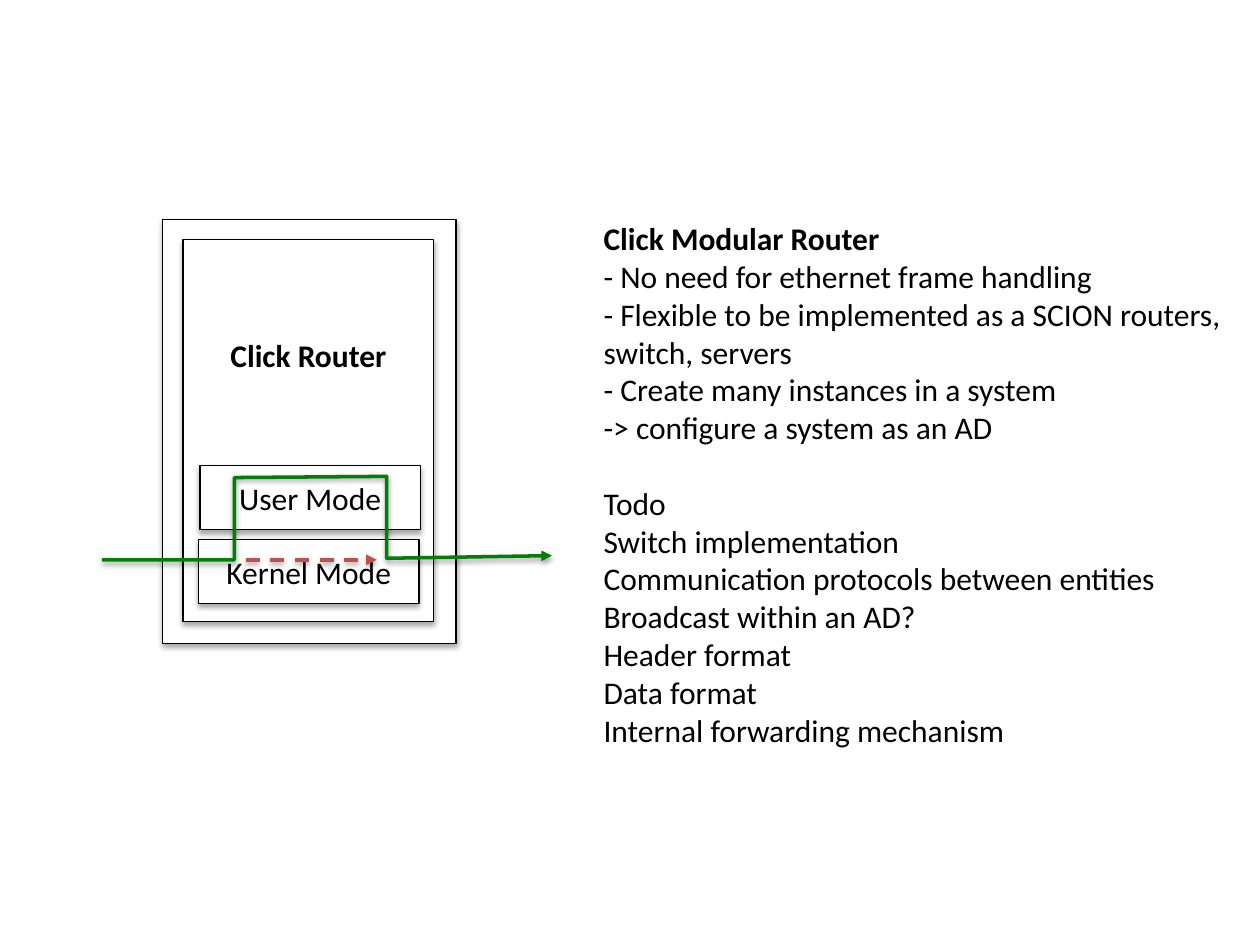
from dataclasses import dataclass

from lxml.etree import SubElement
from pptx import Presentation
from pptx.dml.color import RGBColor
from pptx.enum.dml import MSO_LINE
from pptx.enum.shapes import MSO_CONNECTOR, MSO_SHAPE
from pptx.enum.text import MSO_ANCHOR as Anchor, MSO_AUTO_SIZE as Fit, PP_ALIGN as Align
from pptx.oxml.ns import qn
from pptx.util import Pt

COLORS = {"ink": "000000", "paper": "FFFFFF", "user": "008000", "kernel": "C0504D"}
FONT = "Calibri"
SIZE = 18
ROW = 21.6  # height of one text line


@dataclass
class Box:
    left: float
    top: float
    width: float
    height: float
    text: str = ""
    bold: bool = False
    lift: float = 0  # extra inset below the label


BOXES = [
    Box(92.9, 125.3, 167.8, 242.6),
    Box(104.6, 136.8, 143.3, 218.2, "Click Router", True, 4 * ROW),
    Box(113.4, 308.2, 126, 36.7, "Kernel Mode"),
    Box(114.2, 266.1, 126, 36.7, "User Mode"),
]
ROUTE = [(58.3, 319.9), (133.9, 319.9), (133.9, 272.9), (221, 272.2), (221, 319), (315.4, 317.5)]

TITLE = "Click Modular Router"
NOTES = [
    "- No need for ethernet frame handling",
    "- Flexible to be implemented as a SCION routers,",
    "switch, servers",
    "- Create many instances in a system",
    "-> configure a system as an AD",
]
TASKS = [
    "Todo",
    "Switch implementation",
    "Communication protocols between entities",
    "Broadcast within an AD?",
    "Header format",
    "Data format",
    "Internal forwarding mechanism",
]


def color(name: str) -> RGBColor:
    return RGBColor.from_string(COLORS[name])


def style(para, align, bold: bool = False) -> None:
    para.alignment = align
    for run in para.runs:
        font = run.font
        font.name, font.size, font.bold = FONT, Pt(SIZE), bold
        font.color.rgb = color("ink")


def shade(shape, alpha: int, dist: float) -> None:
    """Add a soft shadow below the shape; call after its line is set."""
    effects = SubElement(shape._element.spPr, qn("a:effectLst"))
    shadow = SubElement(effects, qn("a:outerShdw"), blurRad=str(Pt(3.1)),
                        dist=str(Pt(dist)), dir="5400000", rotWithShape="0")
    tint = SubElement(shadow, qn("a:srgbClr"), val=COLORS["ink"])
    SubElement(tint, qn("a:alpha"), val=str(alpha * 1000))


def draw_box(shapes, box: Box) -> None:
    shape = shapes.add_shape(MSO_SHAPE.RECTANGLE, Pt(box.left), Pt(box.top),
                             Pt(box.width), Pt(box.height))
    shape.fill.solid()
    shape.fill.fore_color.rgb = color("paper")
    shape.line.color.rgb = color("ink")
    shape.line.width = Pt(0.75)
    shade(shape, 35, 1.8)
    if box.text:
        frame = shape.text_frame
        frame.vertical_anchor = Anchor.MIDDLE
        frame.margin_bottom = Pt(3.6 + box.lift)
        frame.text = box.text
        style(frame.paragraphs[0], Align.CENTER, box.bold)


def draw_arrow(shape, name: str, dash=None) -> None:
    shape.line.color.rgb = color(name)
    shape.line.width = Pt(2)
    if dash:
        shape.line.dash_style = dash
    SubElement(shape.line._get_or_add_ln(), qn("a:tailEnd"), type="triangle")
    shade(shape, 38, 1.6)


def draw_route(shapes) -> None:
    first, *rest = [(Pt(x), Pt(y)) for x, y in ROUTE]
    pen = shapes.build_freeform(*first)
    pen.add_line_segments(rest, close=False)
    shape = pen.convert_to_shape()
    shape.fill.background()
    draw_arrow(shape, "user")


def place(holder, top: float, lines: list[str], bold: bool = False) -> None:
    """Move a placeholder into the text column and fill it with plain lines."""
    holder.left, holder.top = Pt(337.7), Pt(top)
    holder.width, holder.height = Pt(372), Pt(ROW * len(lines))
    frame = holder.text_frame
    frame.word_wrap = True
    frame.auto_size = Fit.NONE
    frame.vertical_anchor = Anchor.TOP
    frame.margin_top = frame.margin_bottom = 0
    frame.text = "\n".join(lines)
    for para in frame.paragraphs:
        props = para._p.get_or_add_pPr()
        props.set("marL", "0")
        props.set("indent", "0")
        SubElement(props, qn("a:buNone"))
        para.space_before = Pt(0)
        style(para, Align.LEFT, bold)


def main() -> None:
    deck = Presentation()
    deck.slide_width, deck.slide_height = Pt(720), Pt(540)
    slide = deck.slides.add_slide(deck.slide_layouts[1])
    shapes = slide.shapes

    top = 125.3
    place(shapes.title, top, [TITLE], bold=True)
    body = slide.placeholders[1]
    place(body, top + ROW, NOTES + TASKS)
    body.height += Pt(ROW)
    body.text_frame.paragraphs[len(NOTES)].space_before = Pt(ROW)

    for box in BOXES:
        draw_box(shapes, box)
    draw_route(shapes)
    hop = shapes.add_connector(MSO_CONNECTOR.STRAIGHT, Pt(140.4), Pt(319.9),
                               Pt(215.3), Pt(319.9))
    draw_arrow(hop, "kernel", MSO_LINE.DASH)

    deck.save("out.pptx")


if __name__ == "__main__":
    main()
